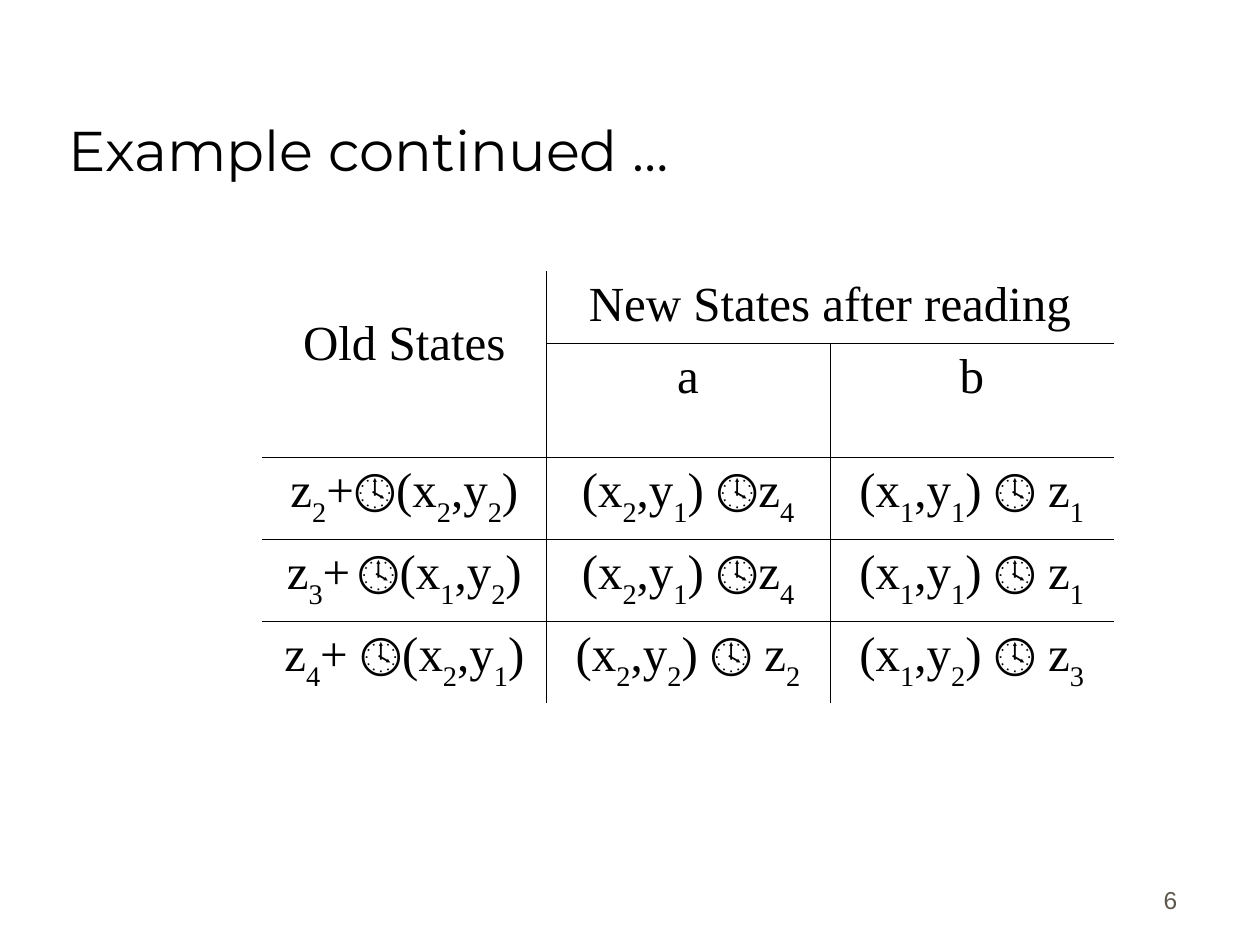
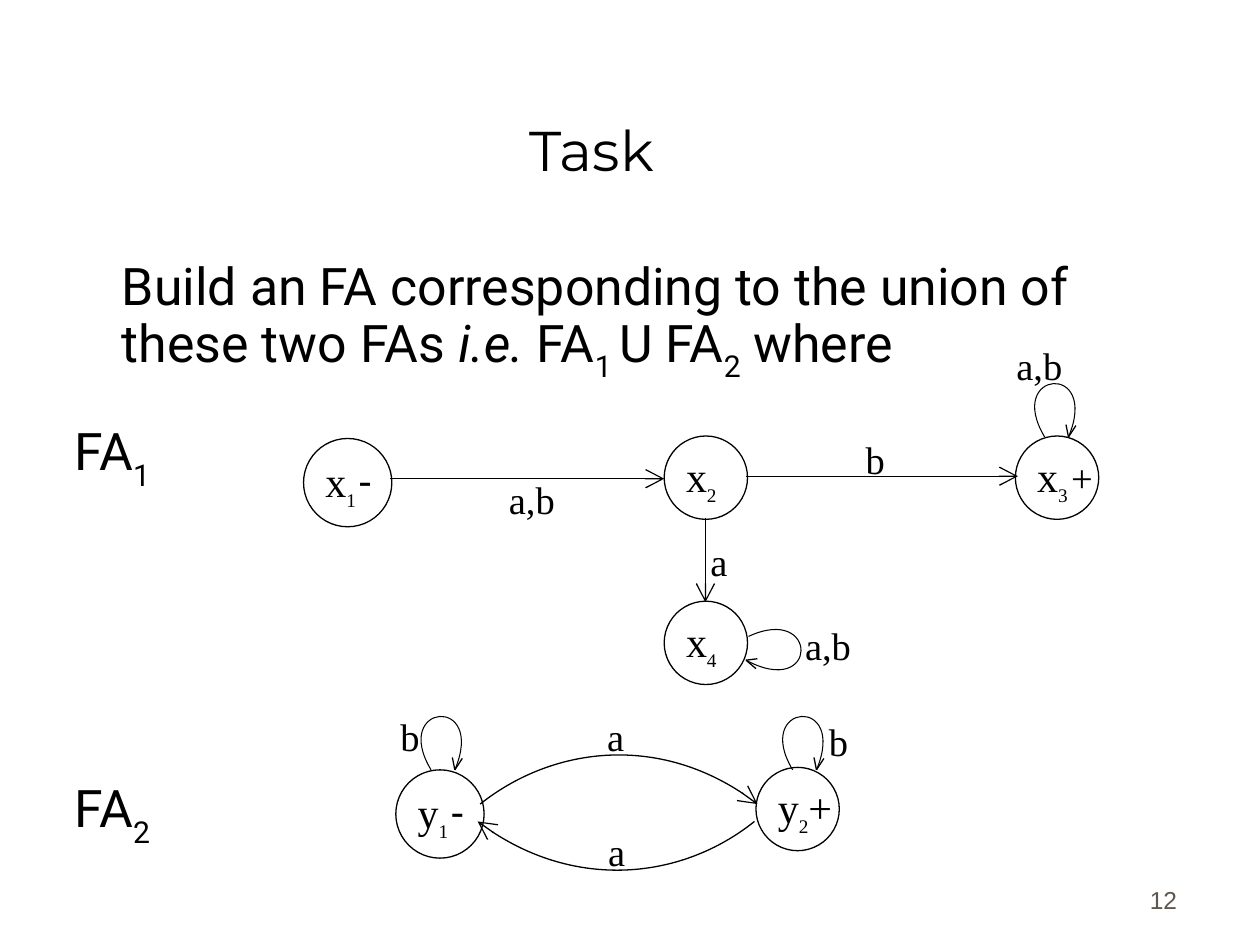
from lxml import etree
from pptx import Presentation
from pptx import util as u
from pptx.dml import color
from pptx.enum import shapes, text
from pptx.oxml import ns

BLACK, WHITE, GREY = "000000", "FFFFFF", "5E574E"
SERIF, BODY, HEADING, FOOTER = "Times New Roman", "Roboto", "Montserrat", "Arial"
LEFT, CENTER, RIGHT = text.PP_ALIGN.LEFT, text.PP_ALIGN.CENTER, text.PP_ALIGN.RIGHT
TOP, BOTTOM = text.MSO_ANCHOR.TOP, text.MSO_ANCHOR.BOTTOM
NO_GRID_STYLE = "{2D5ABB26-0587-4C30-8999-92F81FD0307C}"

SMALL, LARGE = 1.68, 1.78
GAP = ("_ ", SERIF, 13)
MINUS = (GAP, ("-", BODY, 24))
UPWARD_LOOP = ((0, 0), (-0.81, -1.35), (1.12, -1.52), (0.48, 0))
UPWARD_BARBS = ((0.15, -0.23), (-0.05, -0.25))
SIDEWAYS_LOOP = ((0, 0), (1.42, -0.66), (1.42, 1.27), (-0.05, 0.48))
SIDEWAYS_BARBS = ((0.2, 0.17), (0.23, -0.03))

TRANSITIONS = (
    ("z|_2|+🕓(x|_2|,y|_2|)", "(x|_2|,y|_1|) 🕓z|_4", "(x|_1|,y|_1|) 🕓 z|_1"),
    ("z|_3|+|_ |🕓(x|_1|,y|_2|)", "(x|_2|,y|_1|) 🕓z|_4", "(x|_1|,y|_1|) 🕓 z|_1"),
    ("z|_4|+ 🕓(x|_2|,y|_1|)", "(x|_2|,y|_2|) 🕓 z|_2", "(x|_1|,y|_2|) 🕓 z|_3"),
)


def rgb(value):
    """Turn a hex string into a colour."""
    return color.RGBColor.from_string(value)


def add_child(parent, tag, **attributes):
    """Append a drawing element to an XML parent."""
    return etree.SubElement(parent, ns.qn(tag), **attributes)


def write(paragraph, marked, font, size, shade=BLACK, subscript_size=None):
    """Append runs split at bars; a leading _ is subscript, a leading / italic."""
    for piece in filter(None, marked.split("|")):
        run = paragraph.add_run()
        run.text = piece.lstrip("_/")
        run.font.name = font
        run.font.size = u.Pt(size)
        run.font.color.rgb = rgb(shade)
        if piece.startswith("/"):
            run.font.italic = True
        if piece.startswith("_"):
            run.font.size = u.Pt(subscript_size or size)
            run.font._element.set("baseline", "-30000")


def add_text(slide, box, marked, font, size, shade=BLACK, align=LEFT, anchor=TOP,
             subscript_size=None):
    """Add a wrapping text box and return its paragraph."""
    frame = slide.shapes.add_textbox(*map(u.Cm, box)).text_frame
    frame.word_wrap = True
    frame.vertical_anchor = anchor
    paragraph = frame.paragraphs[0]
    paragraph.alignment = align
    write(paragraph, marked, font, size, shade, subscript_size)
    return paragraph


def add_slide(presentation, title, number, align=LEFT):
    """Add a blank slide with its title and page number."""
    slide = presentation.slides.add_slide(presentation.slide_layouts[6])
    add_text(slide, (18.7, 17.29, 5.28, 1.27), number, FOOTER, 14, GREY, RIGHT, BOTTOM)
    add_text(slide, (1.13, 0.62, 21.59, 3.18), title, HEADING, 32, BLACK, align, BOTTOM)
    return slide


def add_body(slide, items):
    """Add tightly spaced body paragraphs, each with its indent and space before."""
    frame = slide.shapes.add_textbox(*map(u.Cm, (1.26, 5.23, 22.71, 11.58))).text_frame
    frame.word_wrap = True
    for index, (marked, indent, space) in enumerate(items):
        paragraph = frame.add_paragraph() if index else frame.paragraphs[0]
        paragraph.line_spacing = 0.8
        paragraph.space_before = u.Pt(space)
        paragraph._p.get_or_add_pPr().set("marL", str(u.Cm(indent)))
        write(paragraph, marked, BODY, 29.6)


def add_label(slide, left, top, marked):
    """Add the letters beside a transition."""
    add_text(slide, (left, top, 2.57, 1.04), marked, SERIF, 22)


def add_state(slide, left, top, diameter, name, sign=()):
    """Add a state circle with its name and its start or final sign."""
    circle = slide.shapes.add_shape(shapes.MSO_SHAPE.OVAL,
                                    *map(u.Cm, (left, top, diameter, diameter)))
    circle.shadow.inherit = False
    circle.fill.solid()
    circle.fill.fore_color.rgb = rgb(WHITE)
    style_line(circle.line, 0.75)
    height = 1.35
    box = (left + 0.19, top + (diameter - height) / 2, 2.03, height)
    paragraph = add_text(slide, box, name, SERIF, 24, subscript_size=19)
    for piece, font, size in sign:
        write(paragraph, piece, font, size)


def style_line(line, width, arrow=False):
    """Colour a line and give its end an open arrowhead if wanted."""
    line.color.rgb = rgb(BLACK)
    line.width = u.Pt(width)
    if arrow:
        add_child(line._get_or_add_ln(), "a:tailEnd", type="arrow", w="lg", len="lg")


def add_arrow(slide, *ends):
    """Add a straight transition arrow."""
    arrow = slide.shapes.add_connector(shapes.MSO_CONNECTOR.STRAIGHT, *map(u.Cm, ends))
    style_line(arrow.line, 0.75, True)
    add_child(arrow._element.spPr, "a:effectLst")


def add_outline(slide, points, width=0.75, arrow=False):
    """Add an open unfilled outline through points in centimetres."""
    start, *others = [tuple(map(u.Cm, point)) for point in points]
    builder = slide.shapes.build_freeform(*start)
    builder.add_line_segments(others, close=False)
    outline = builder.convert_to_shape()
    outline.shadow.inherit = False
    outline.fill.background()
    style_line(outline.line, width, arrow)
    return outline


def add_curve(slide, controls, width=0.75, arrow=True):
    """Add a cubic curve from its four control points."""
    curve = add_outline(slide, controls, width, arrow)
    segments = list(curve._element.iter(ns.qn("a:lnTo")))
    cubic = add_child(segments[0].getparent(), "a:cubicBezTo")
    for segment in segments:
        cubic.append(segment[0])
        segment.getparent().remove(segment)


def add_loop(slide, left, top, outline, barbs):
    """Add a curve from a state back to itself, ending in two barbs."""
    controls = [(left + x, top + y) for x, y in outline]
    add_curve(slide, controls, 0.6, False)
    tip_x, tip_y = controls[-1]
    for x, y in barbs:
        add_outline(slide, ((tip_x + x, tip_y + y), (tip_x, tip_y)))


def add_border(cell, side):
    """Draw one thin edge of a table cell."""
    edge = add_child(cell._tc.get_or_add_tcPr(), f"a:ln{side}", w=str(u.Pt(0.45)))
    add_child(add_child(edge, "a:solidFill"), "a:srgbClr", val=BLACK)


def fill_cell(table, row, column, marked):
    """Write one cell and draw its edges inside the table."""
    cell = table.cell(row, column)
    inner = {"L": column > 0,
             "R": column + cell.span_width < len(table.columns),
             "T": row > 0,
             "B": row + cell.span_height < len(table.rows)}
    for side, drawn in inner.items():
        if drawn:
            add_border(cell, side)
    cell.fill.background()
    paragraph = cell.text_frame.paragraphs[0]
    paragraph.alignment = CENTER
    write(paragraph, marked, SERIF, 28)


def add_transition_table(slide):
    """Add the table of old and new states."""
    heights = (1.46, 2.29, 1.65, 1.65, 1.65)
    frame = slide.shapes.add_table(len(heights), 3, *map(u.Cm, (5.29, 5.47, 17.16, 8.7)))
    table = frame.table
    table.first_row = table.horz_banding = False
    table._tbl.tblPr.find(ns.qn("a:tableStyleId")).text = NO_GRID_STYLE
    for column in table.columns:
        column.width = u.Cm(5.72)
    for row, height in zip(table.rows, heights):
        row.height = u.Cm(height)
    table.cell(0, 0).merge(table.cell(1, 0))
    table.cell(0, 1).merge(table.cell(0, 2))
    table.cell(0, 0).margin_top = u.Cm(0.92)
    fill_cell(table, 0, 0, "Old States")
    fill_cell(table, 0, 1, "New States after reading")
    fill_cell(table, 1, 1, "a")
    fill_cell(table, 1, 2, "b")
    for row, entries in enumerate(TRANSITIONS, start=2):
        for column, marked in enumerate(entries):
            fill_cell(table, row, column, marked)


def add_first_automaton(slide):
    """Draw FA1 with its four states."""
    add_state(slide, 6.12, 8.84, LARGE, "x|_1", MINUS)
    add_state(slide, 13.39, 8.79, SMALL, "x|_2")
    add_state(slide, 20.47, 8.79, SMALL, "x|_3", (GAP, ("+", SERIF, 22)))
    add_state(slide, 13.39, 12.12, SMALL, "x|_4")
    add_arrow(slide, 7.87, 9.65, 13.39, 9.65)
    add_arrow(slide, 15.04, 9.6, 20.52, 9.6)
    add_arrow(slide, 14.22, 10.44, 14.22, 12.14)
    add_loop(slide, 21.06, 8.81, UPWARD_LOOP, UPWARD_BARBS)
    add_loop(slide, 15.09, 12.83, SIDEWAYS_LOOP, SIDEWAYS_BARBS)
    for left, top, letters in ((20.24, 6.78, "a,b"), (17.2, 8.66, "b"), (10.01, 9.47, "a,b"),
                               (15.98, 12.42, "a,b"), (14.07, 10.72, "a")):
        add_label(slide, left, top, letters)


def add_second_automaton(slide):
    """Draw FA2 with its two states."""
    add_state(slide, 7.98, 15.52, LARGE, "y|_1", MINUS)
    add_state(slide, 15.24, 15.47, SMALL, "y|_2", (("+", SERIF, 24),))
    add_curve(slide, ((9.68, 16.21), (11.13, 15.06), (13.44, 14.78), (15.27, 16.21)))
    add_curve(slide, ((15.21, 16.56), (13.79, 17.7), (11.48, 17.98), (9.63, 16.56)))
    for left in (8.69, 15.98):
        add_loop(slide, left, 15.52, UPWARD_LOOP, UPWARD_BARBS)
    for left, top, letter in ((11.99, 14.25, "a"), (12.01, 16.56, "a"),
                              (16.46, 14.35, "b"), (7.82, 14.25, "b")):
        add_label(slide, left, top, letter)


def main():
    """Build both slides and save them."""
    presentation = Presentation()
    presentation.slide_width, presentation.slide_height = u.Cm(25.4), u.Cm(19.05)

    add_transition_table(add_slide(presentation, "Example continued …", "6"))

    task = add_slide(presentation, "Task", "12", CENTER)
    add_body(task, (("Build an FA corresponding to the union of these two FAs "
                     "|/i.e. |FA|_1 |U FA|_2| where", 0.95, 0),
                    ("FA|_1", 0, 28.4),
                    ("FA|_2", 0, 170.6)))
    add_first_automaton(task)
    add_second_automaton(task)

    presentation.save("out.pptx")


if __name__ == "__main__":
    main()
